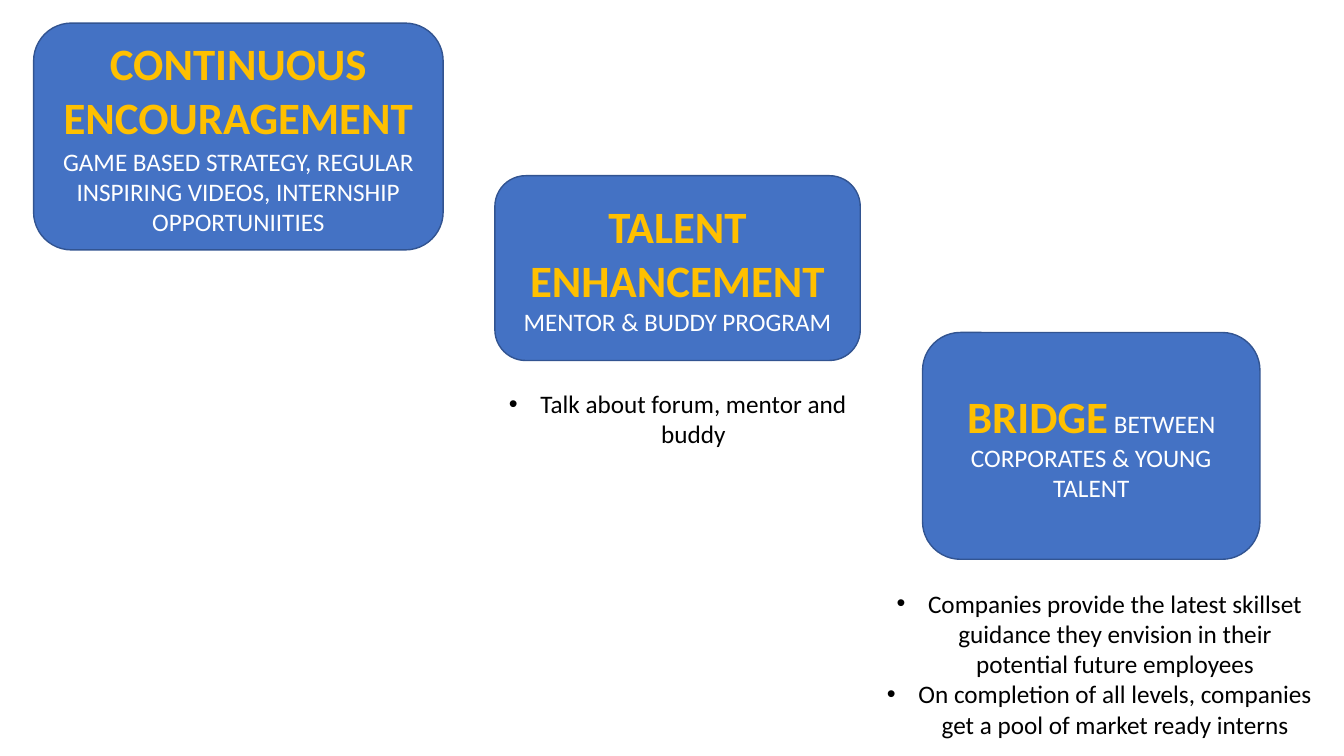
from lxml import etree
from pptx import Presentation
from pptx.dml.color import RGBColor
from pptx.enum.shapes import MSO_SHAPE
from pptx.enum.text import MSO_ANCHOR, MSO_AUTO_SIZE, PP_ALIGN
from pptx.oxml.ns import qn
from pptx.util import Pt

BLUE = RGBColor(0x44, 0x72, 0xC4)
DARK_BLUE = RGBColor(0x32, 0x54, 0x91)
GOLD = RGBColor(0xFF, 0xC0, 0x00)
WHITE = RGBColor(0xFF, 0xFF, 0xFF)
BLACK = RGBColor(0x00, 0x00, 0x00)

HEADING = (32, True, GOLD)
DETAIL = (18, False, WHITE)
BODY = (18, False, BLACK)


def set_font(font, style):
    size, bold, color = style
    font.name = "Calibri"
    font.size = Pt(size)
    font.bold = bold
    font.color.rgb = color


def add_paragraph(frame, index, *parts):
    paragraph = frame.paragraphs[0] if index == 0 else frame.add_paragraph()
    paragraph.alignment = PP_ALIGN.CENTER
    for text, style in parts:
        run = paragraph.add_run()
        run.text = text
        set_font(run.font if len(parts) > 1 else paragraph.font, style)
    return paragraph


presentation = Presentation()
presentation.slide_width = Pt(960)
presentation.slide_height = Pt(540)
slide = presentation.slides.add_slide(presentation.slide_layouts[6])

cards = [
    ((659, 237.5, 241, 162), 0, [
        [("BRIDGE", HEADING), (" BETWEEN CORPORATES & YOUNG TALENT", DETAIL)],
    ]),
    ((24, 16.5, 292.5, 162), 2, [
        [("CONTINUOUS ENCOURAGEMENT", HEADING)],
        [("GAME BASED STRATEGY, REGULAR INSPIRING VIDEOS, "
          "INTERNSHIP OPPORTUNIITIES", DETAIL)],
    ]),
    ((353.5, 125.5, 261, 132), 0, [
        [("TALENT ENHANCEMENT", HEADING)],
        [("MENTOR & BUDDY PROGRAM", DETAIL)],
    ]),
]
for box, heading_gap, paragraphs in cards:
    card = slide.shapes.add_shape(MSO_SHAPE.ROUNDED_RECTANGLE, *map(Pt, box))
    card.shadow.inherit = False
    card.fill.solid()
    card.fill.fore_color.rgb = BLUE
    card.line.color.rgb = DARK_BLUE
    card.line.width = Pt(1)
    frame = card.text_frame
    frame.word_wrap = True
    frame.vertical_anchor = MSO_ANCHOR.MIDDLE
    for index, parts in enumerate(paragraphs):
        add_paragraph(frame, index, *parts)
    if heading_gap:
        frame.paragraphs[0].space_after = Pt(heading_gap)

notes = [
    ((621.5, 416.5, 327.5, 116.5), [
        "Companies provide the latest skillset guidance they envision "
        "in their potential future employees",
        "On completion of all levels, companies get a pool of market ready interns",
    ]),
    ((346.5, 274, 275, 51), ["Talk about forum, mentor and buddy"]),
]
for box, bullets in notes:
    frame = slide.shapes.add_textbox(*map(Pt, box)).text_frame
    frame.word_wrap = True
    frame.auto_size = MSO_AUTO_SIZE.SHAPE_TO_FIT_TEXT
    for index, text in enumerate(bullets):
        paragraph = add_paragraph(frame, index, (text, BODY))
        properties = paragraph.font._element.getparent()
        properties.set("marL", str(Pt(22.5)))
        properties.set("indent", str(Pt(-22.5)))
        bullet_font = etree.Element(qn("a:buFont"), typeface="Arial")
        bullet = etree.Element(qn("a:buChar"), char="•")
        properties.insert(0, bullet_font)
        properties.insert(1, bullet)

presentation.save("out.pptx")
